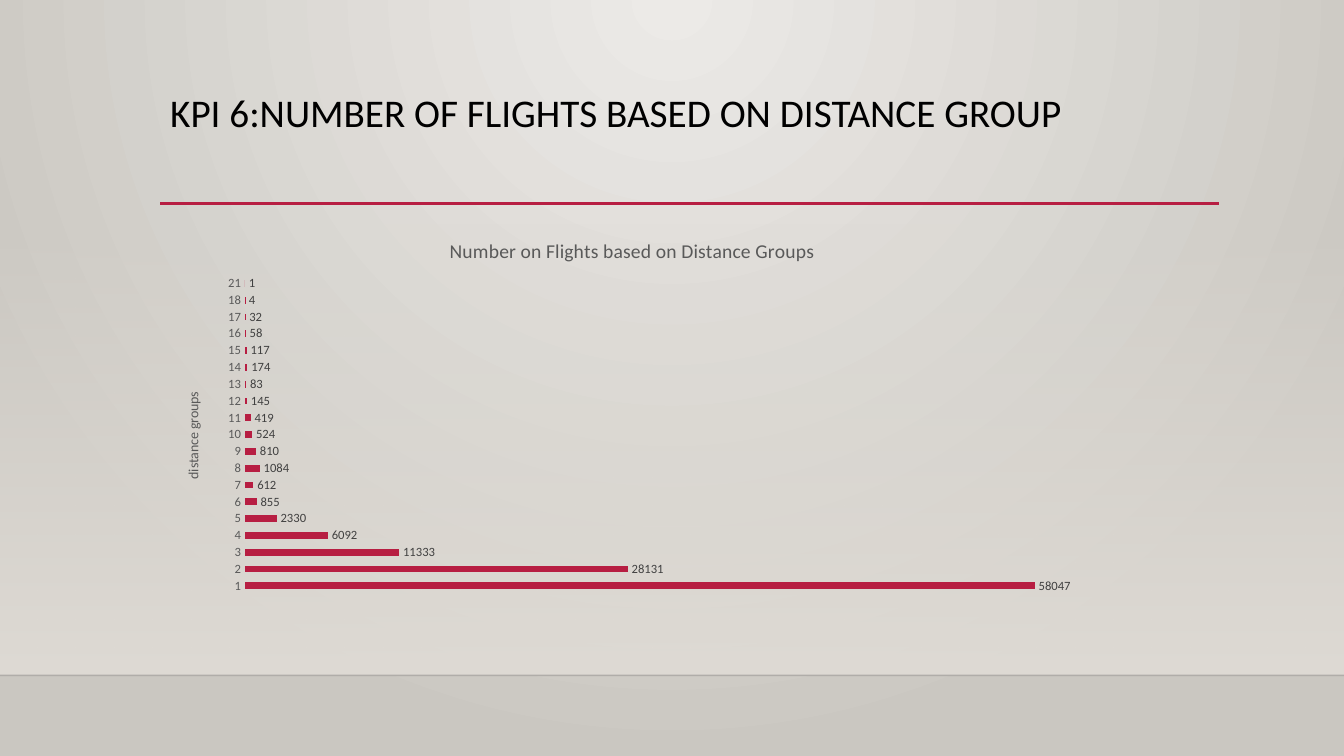
import pptx
import pptx.chart.data
import pptx.dml.color
import pptx.enum.chart
import pptx.enum.shapes
import pptx.enum.text
import pptx.oxml
import pptx.oxml.ns
import pptx.util
from pptx.util import Cm, Pt

NS = pptx.oxml.ns.nsdecls("a", "c", "p")
qn = pptx.oxml.ns.qn


def rgb(value):
    return pptx.dml.color.RGBColor.from_string(value)


def place(parent, index, mode, **fractions):
    """Give a chart part a fixed layout, in fractions of the chart."""
    for old in parent.findall(qn("c:layout")):
        parent.remove(old)
    values = "".join(f'<c:{k} val="{v}"/>' for k, v in fractions.items())
    parent.insert(index, pptx.oxml.parse_xml(
        f"<c:layout {NS}><c:manualLayout>{mode}"
        f'<c:xMode val="edge"/><c:yMode val="edge"/>{values}'
        "</c:manualLayout></c:layout>"))


prs = pptx.Presentation()
prs.slide_width, prs.slide_height = Cm(33.87), Cm(19.05)
s = prs.slides.add_slide(prs.slide_layouts[6])

# Background: light at the top centre, darker outwards
s._element.cSld.insert(0, pptx.oxml.parse_xml(
    f'<p:bg {NS}><p:bgPr><a:gradFill rotWithShape="1"><a:gsLst>'
    '<a:gs pos="0"><a:srgbClr val="ECEAE7"/></a:gs>'
    '<a:gs pos="100000"><a:srgbClr val="CAC7C1"/></a:gs></a:gsLst>'
    '<a:path path="circle"><a:fillToRect l="43000" t="0" r="43000" b="100000"/></a:path>'
    "</a:gradFill><a:effectLst/></p:bgPr></p:bg>"))

# Wall that fades in towards the floor
wall = s.shapes.add_shape(pptx.enum.shapes.MSO_SHAPE.RECTANGLE,
                          0, Cm(5.61), prs.slide_width, Cm(11.41))
wall.shadow.inherit = False
wall.line.fill.background()
wall._element.spPr.insert(2, pptx.oxml.parse_xml(
    f"<a:gradFill {NS}><a:gsLst>"
    '<a:gs pos="0"><a:srgbClr val="DFDBD5"><a:alpha val="0"/></a:srgbClr></a:gs>'
    '<a:gs pos="100000"><a:srgbClr val="DFDBD5"/></a:gs></a:gsLst>'
    '<a:lin ang="5400000" scaled="0"/></a:gradFill>'))

# Floor edge and title rule
for x1, x2, y, color, width, alpha in (
        (0, 33.87, 17.02, "000001", 1, 20),
        (4.04, 30.73, 5.13, "B71E42", 2.5, 100)):
    rule = s.shapes.add_connector(pptx.enum.shapes.MSO_CONNECTOR.STRAIGHT,
                                  Cm(x1), Cm(y), Cm(x2), Cm(y))
    rule.line.color.rgb = rgb(color)
    rule.line.width = Pt(width)
    rule._element.spPr.append(pptx.oxml.parse_xml(f"<a:effectLst {NS}/>"))
    if alpha < 100:
        clr = rule._element.spPr.find(".//" + qn("a:srgbClr"))
        clr.append(pptx.oxml.parse_xml(f'<a:alpha {NS} val="{alpha * 1000}"/>'))

# Title
tf = s.shapes.add_textbox(Cm(4.04), Cm(2.24), Cm(26.67), Cm(2.92)).text_frame
tf.word_wrap = True
tf.vertical_anchor = pptx.enum.text.MSO_ANCHOR.TOP
p = tf.paragraphs[0]
p.line_spacing = 0.9
r = p.add_run()
r.text = "KPI 6:NUMBER OF FLIGHTS BASED ON DISTANCE GROUP"
title_font = r.font

# Chart
flights = {"1": 58047, "2": 28131, "3": 11333, "4": 6092, "5": 2330,
           "6": 855, "7": 612, "8": 1084, "9": 810, "10": 524,
           "11": 419, "12": 145, "13": 83, "14": 174, "15": 117,
           "16": 58, "17": 32, "18": 4, "21": 1}
data = pptx.chart.data.CategoryChartData()
data.categories = list(flights)
data.add_series("Series 1", list(flights.values()))
chart = s.shapes.add_chart(pptx.enum.chart.XL_CHART_TYPE.BAR_CLUSTERED,
                           Cm(4.04), Cm(5.59), Cm(26.67), Cm(9.58), data).chart
chart.has_legend = False
place(chart._chartSpace.chart.plotArea, 0, '<c:layoutTarget val="inner"/>',
      x=0.08, y=0.14, w=0.9, h=0.84)

# Bars and their values
plot = chart.plots[0]
plot.gap_width = 150
plot.vary_by_categories = False
bars = plot.series[0]
bars.format.fill.solid()
bars.format.fill.fore_color.rgb = rgb("B71E42")
labels = bars.data_labels
labels.show_value = True
labels.position = pptx.enum.chart.XL_LABEL_POSITION.OUTSIDE_END

# Axes
groups, counts = chart.category_axis, chart.value_axis
groups.major_tick_mark = pptx.enum.chart.XL_TICK_MARK.NONE
groups.format.line.fill.background()
counts.minimum_scale, counts.maximum_scale = 0, 70000
counts.has_major_gridlines = False
counts.visible = False

# Chart title and axis title
headings = []
for title, text, x, y in (
        (chart.chart_title, "Number on Flights based on Distance Groups", 0.27, 0.03),
        (groups.axis_title, "distance groups", 0.02, 0.44)):
    p = title.text_frame.paragraphs[0]
    r = p.add_run()
    r.text = text
    headings.append(r.font)
    place(title._element, 1, "", x=x, y=y)
chart.chart_title._element.find(qn("c:overlay")).set("val", "1")

# Fonts
for font, size, color in ((title_font, 28, "000000"), (chart.font, 10, "000000"),
                          (headings[0], 14, "595959"), (headings[1], 10, "595959"),
                          (groups.tick_labels.font, 9, "595959"),
                          (labels.font, 9, "404040")):
    for key, value in {"name": "Calibri", "size": Pt(size), "bold": False}.items():
        setattr(font, key, value)
    font.color.rgb = rgb(color)

prs.save("out.pptx")
